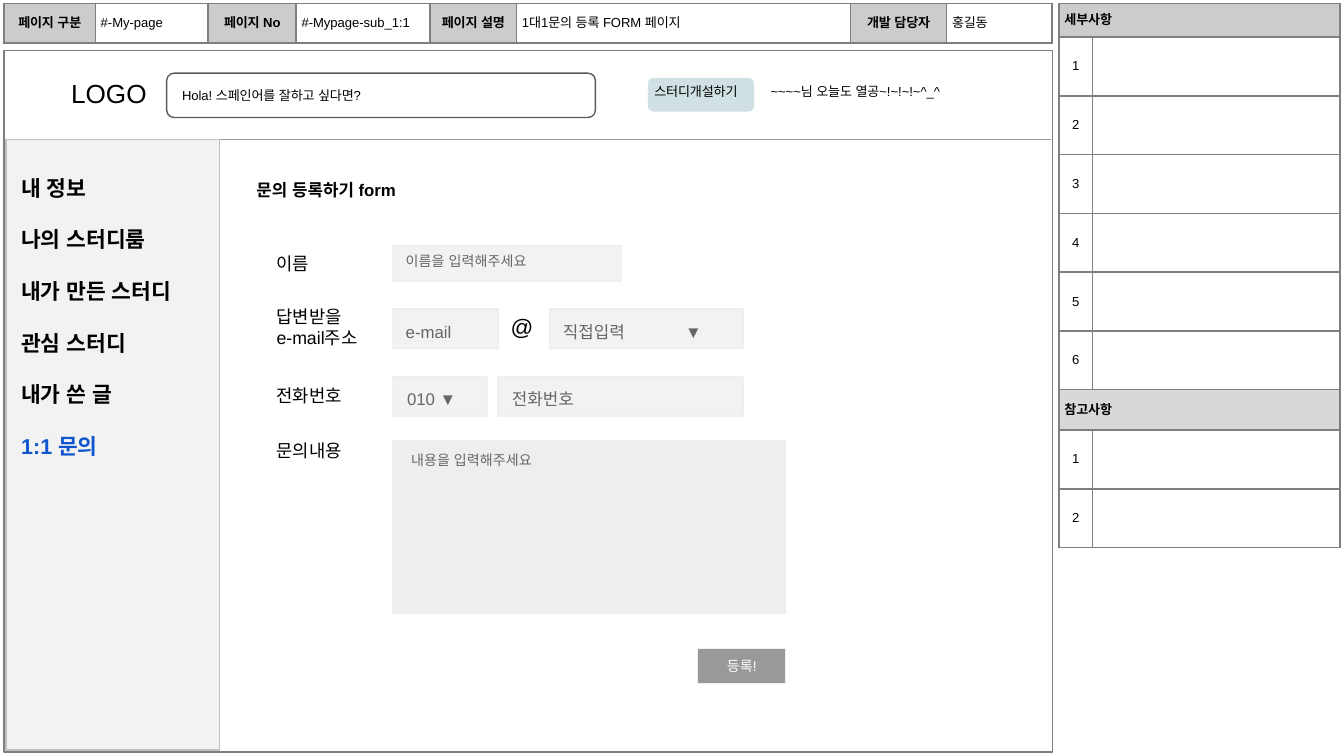
from dataclasses import dataclass

from lxml import etree
from pptx import Presentation
from pptx.dml.color import RGBColor
from pptx.enum.shapes import MSO_CONNECTOR, MSO_SHAPE
from pptx.enum.text import MSO_ANCHOR, PP_ALIGN
from pptx.oxml.ns import qn
from pptx.util import Inches, Pt

RECT, ROUND = MSO_SHAPE.RECTANGLE, MSO_SHAPE.ROUNDED_RECTANGLE
STRAIGHT = MSO_CONNECTOR.STRAIGHT
TOP, MIDDLE = MSO_ANCHOR.TOP, MSO_ANCHOR.MIDDLE
LEFT, CENTER = PP_ALIGN.LEFT, PP_ALIGN.CENTER

FONT = "Arial"
COLORS = {
    "ink": "000000", "hint": "666666", "white": "FFFFFF", "link": "1155CC",
    "frame": "7F7F7F", "rule": "999999", "search": "595959",
    "head": "CCCCCC", "subhead": "D8D8D8", "panel": "F2F2F2",
    "panel_edge": "BFBFBF", "field_edge": "EFEFEF", "area": "EEEEEE",
    "button": "999999", "chip": "D0E0E3",
}

# The slide is a 16:9 grid of 1000 columns by 562.5 rows
COLUMNS, ROWS = 1000, 562.5
CELL = Inches(10) / COLUMNS
LABEL_LEFT, FIELD_LEFT = 196, 292
TABLE_ROW = 350 / 8
# Extra top inset that seats small text lower in its box, by text size
DROPS = {7: 4, 7.5: 3.5, 9: 3, 9.5: 2}


@dataclass
class Area:
    left: float
    top: float
    width: float
    height: float

    def emu(self) -> list[int]:
        return [grid(n) for n in (self.left, self.top, self.width, self.height)]


@dataclass
class Style:
    size: float
    color: str = "ink"
    bold: bool = False


@dataclass
class Block:
    area: Area
    fill: str | None = None
    line: str | None = None
    kind: int = RECT


@dataclass
class Entry:
    text: str
    fill: str | None = None
    centered: bool = False
    bold: bool = False


def grid(count: float) -> int:
    return round(count * CELL)


def rgb(name: str) -> RGBColor:
    return RGBColor.from_string(COLORS[name])


def add_span(para, text: str, style: Style) -> None:
    span = para.add_run()
    span.text = text
    font = span.font
    font.name, font.size, font.bold = FONT, Pt(style.size), style.bold
    font.color.rgb = rgb(style.color)
    etree.SubElement(font._element, qn("a:ea")).set("typeface", FONT)


def draw_block(page, block: Block):
    box = page.shapes.add_shape(block.kind, *block.area.emu())
    box.shadow.inherit = False
    if block.fill:
        box.fill.solid()
        box.fill.fore_color.rgb = rgb(block.fill)
    else:
        box.fill.background()
    if block.line:
        box.line.color.rgb = rgb(block.line)
        box.line.width = Pt(0.75)
    else:
        box.line.fill.background()
    return box


def write(box, lines: list[tuple[str, Style]], anchor=TOP, gap: float = 0) -> None:
    frame = box.text_frame
    frame.word_wrap = True
    frame.vertical_anchor = anchor
    drop = DROPS.get(lines[0][1].size, 0) if anchor == TOP else 0
    frame.margin_left = frame.margin_right = frame.margin_bottom = grid(10)
    frame.margin_top = grid(10 + drop)
    for index, (text, style) in enumerate(lines):
        para = frame.add_paragraph() if index else frame.paragraphs[0]
        para.alignment = LEFT
        if index and gap:
            para.space_before = Pt(gap)
        add_span(para, text, style)


def draw_text(page, area: Area, lines: list[tuple[str, Style]], gap: float = 0):
    box = page.shapes.add_textbox(*area.emu())
    write(box, lines, gap=gap)
    return box


def style_cell(cell, entry: Entry, inset: float) -> None:
    cell.vertical_anchor = MIDDLE
    cell.margin_left = cell.margin_right = grid(4)
    cell.margin_top = cell.margin_bottom = grid(inset)
    for side in ("lnL", "lnR", "lnT", "lnB"):
        edge = etree.SubElement(cell._tc.get_or_add_tcPr(), qn(f"a:{side}"), w=str(Pt(1)))
        paint = etree.SubElement(edge, qn("a:solidFill"))
        etree.SubElement(paint, qn("a:srgbClr"), val=COLORS["frame"])
    if entry.fill:
        cell.fill.solid()
        cell.fill.fore_color.rgb = rgb(entry.fill)
    else:
        cell.fill.background()
    para = cell.text_frame.paragraphs[0]
    para.alignment = CENTER if entry.centered else LEFT
    if entry.text:
        add_span(para, entry.text, Style(7, bold=entry.bold))


def draw_table(page, left: float, top: float, widths: list[float],
               heights: list[float], entries: list[list[Entry]]) -> None:
    area = Area(left, top, sum(widths), sum(heights))
    table = page.shapes.add_table(len(heights), len(widths), *area.emu()).table
    table.first_row = table.horz_banding = False
    for column, width in zip(table.columns, widths):
        column.width = grid(width)
    for r, (height, row) in enumerate(zip(heights, entries)):
        table.rows[r].height = grid(height)
        for c, entry in enumerate(row):
            style_cell(table.cell(r, c), entry, 8 if r and entry.text else 3)
        if len(row) < len(widths):
            table.cell(r, 0).merge(table.cell(r, len(widths) - 1))


def draw_tables(page) -> None:
    # Page facts: label and value pairs
    facts = [("페이지 구분", "#-My-page"), ("페이지 No", "#-Mypage-sub_1:1"),
             ("페이지 설명", "1대1문의 등록 FORM 페이지"), ("개발 담당자", "홍길동")]
    row = [entry for label, value in facts
           for entry in (Entry(label, "head", True, True), Entry(value))]
    draw_table(page, 3, 2.5, [68, 84, 65.5, 99.5, 64.5, 248.5, 71.5, 78.5], [29.5], [row])

    # Details and references: numbered empty rows under two headings
    def numbered(count: int) -> list[list[Entry]]:
        return [[Entry(str(n), centered=True), Entry("")] for n in range(1, count + 1)]

    rows = [[Entry("세부사항", "head", bold=True)], *numbered(6),
            [Entry("참고사항", "subhead", bold=True)], *numbered(2)]
    heights = [25] + [TABLE_ROW] * 6 + [30] + [TABLE_ROW] * 2
    draw_table(page, 788, 2.5, [25, 184], heights, rows)


def draw_header(page) -> None:
    small = Style(7)
    draw_text(page, Area(43, 47.5, 529, 62), [("LOGO", Style(14))])
    search = draw_block(page, Block(Area(124, 54.5, 319, 33), line="search", kind=ROUND))
    write(search, [("Hola! 스페인어를 잘하고 싶다면?", small)], MIDDLE)
    draw_block(page, Block(Area(482, 58, 79, 25), "chip", kind=ROUND))
    draw_text(page, Area(477, 54, 92, 25), [("스터디개설하기", small)])
    draw_text(page, Area(563.5, 54, 172, 38), [("~~~~님 오늘도 열공~!~!~!~^_^", small)])


def draw_menu(page) -> None:
    draw_block(page, Block(Area(4.5, 104, 159, 454), "panel", "panel_edge"))
    items = ["내 정보", "나의 스터디룸", "내가 만든 스터디", "관심 스터디", "내가 쓴 글"]
    lines = [(item, Style(11.5, bold=True)) for item in items]
    lines.append(("1:1 문의", Style(11.5, "link", True)))
    draw_text(page, Area(6, 120, 164, 196), lines, gap=13.9)


def draw_form(page) -> None:
    draw_text(page, Area(181, 125, 181, 30), [("문의 등록하기 form", Style(9, bold=True))])

    # Labels
    for top, lines in [(179, ["이름"]), (215.5, ["답변받을", "e-mail주소"]),
                       (277, ["전화번호"]), (318, ["문의내용"])]:
        draw_text(page, Area(LABEL_LEFT, top, 87, 29), [(line, Style(9.5)) for line in lines])

    # Fields, each with its hint
    hint, small_hint = Style(9, "hint"), Style(7.5, "hint")
    fields = [
        (Area(FIELD_LEFT, 183, 170.5, 26.5), "panel", Area(292, 180, 171, 33), "이름을 입력해주세요", small_hint),
        (Area(FIELD_LEFT, 230, 79, 29), "panel", Area(292, 230, 58, 29), "e-mail", hint),
        (Area(409, 230, 144, 29), "panel", Area(409, 230, 144, 29), "직접입력\t▼", hint),
        (Area(FIELD_LEFT, 280.5, 71, 29), "panel", Area(293, 280, 58, 29), "010 ▼", hint),
        (Area(370.5, 280.5, 182.5, 29), "panel", Area(371, 280, 99, 29), "전화번호", hint),
        (Area(292.5, 328, 292, 128.5), "area", Area(296, 328, 171, 33), "내용을 입력해주세요", small_hint),
        (Area(519, 482.5, 65.5, 26), "button", Area(531, 481, 51, 29), "등록!", Style(7.5, "white")),
    ]
    for area, fill, text_area, text, style in fields:
        draw_block(page, Block(area, fill, "field_edge"))
        box = draw_text(page, text_area, [(text, style)])
        if "\t" in text:
            props = box.text_frame.paragraphs[0]._p.get_or_add_pPr()
            tabs = etree.SubElement(props, qn("a:tabLst"))
            etree.SubElement(tabs, qn("a:tab"), pos=str(grid(91)), algn="l")
    draw_text(page, Area(370, 223, 45, 33), [("@", Style(12))])


def main() -> None:
    deck = Presentation()
    deck.slide_width, deck.slide_height = grid(COLUMNS), grid(ROWS)
    page = deck.slides.add_slide(deck.slide_layouts[6])

    # Page frame and header rule
    draw_block(page, Block(Area(3, 37.5, 780, 522), line="frame"))
    rule = page.shapes.add_connector(STRAIGHT, grid(5), grid(104), grid(782), grid(104))
    rule.line.color.rgb = rgb("rule")
    rule.line.width = Pt(0.75)
    etree.SubElement(rule._element.spPr, qn("a:effectLst"))

    draw_tables(page)
    draw_header(page)
    draw_menu(page)
    draw_form(page)
    deck.save("out.pptx")


if __name__ == "__main__":
    main()
